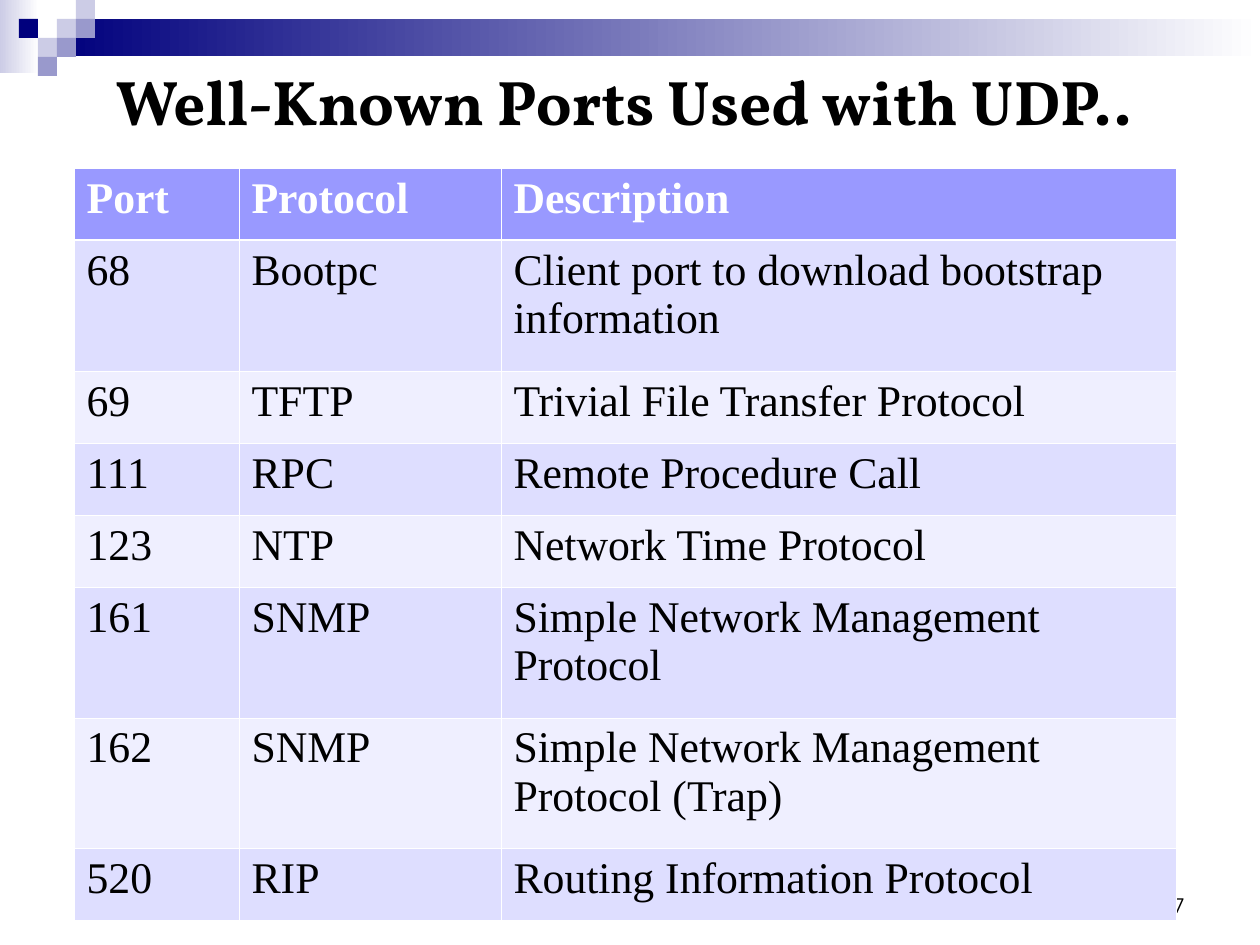
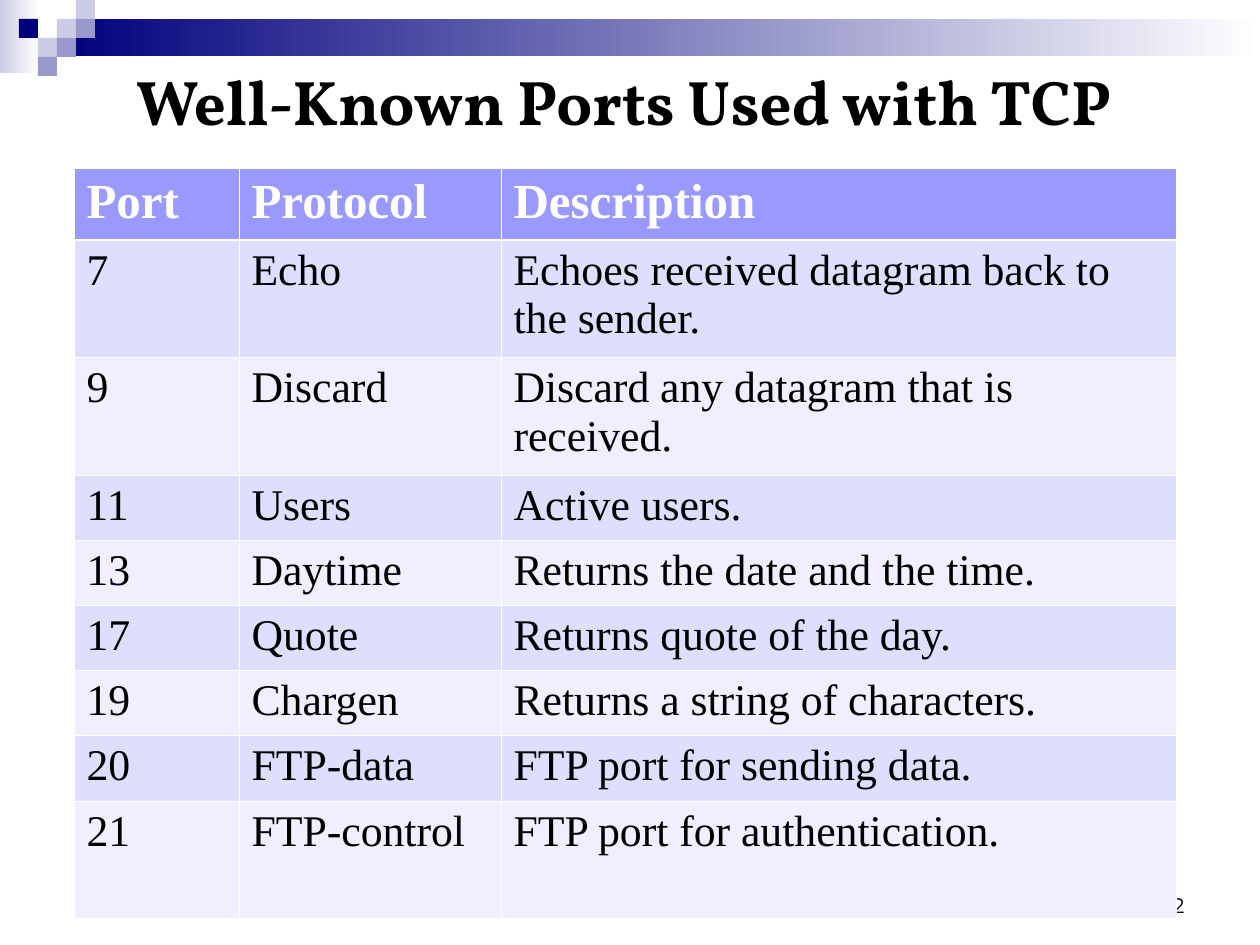
from typing import NamedTuple

from pptx import Presentation
from pptx.dml.color import RGBColor
from pptx.enum.shapes import MSO_SHAPE
from pptx.enum.text import MSO_ANCHOR, PP_ALIGN
from pptx.oxml import parse_xml
from pptx.oxml.ns import nsdecls
from pptx.util import Emu, Pt

RECT = MSO_SHAPE.RECTANGLE
MIDDLE, BOTTOM = MSO_ANCHOR.MIDDLE, MSO_ANCHOR.BOTTOM
CENTER, RIGHT = PP_ALIGN.CENTER, PP_ALIGN.RIGHT

BLACK = RGBColor(0x00, 0x00, 0x00)
WHITE = RGBColor(0xFF, 0xFF, 0xFF)
NAVY = RGBColor(0x00, 0x00, 0x7D)
LILAC = RGBColor(0xCC, 0xCC, 0xE6)
PERIWINKLE = RGBColor(0x99, 0x99, 0xCC)
HEADER_FILL = RGBColor(0x99, 0x99, 0xFF)
ROW_FILLS = (RGBColor(0xDE, 0xDE, 0xFF), RGBColor(0xEF, 0xEF, 0xFF))

TITLE_FONT, NUMBER_FONT, TABLE_FONT = "Vollkorn", "Montserrat", "Times New Roman"
PX_PER_INCH = 126
TITLE_ONLY = 5
SQUARE = 19
THIN, THICK = 0.45, 1.47
TABLE_LEFT, TABLE_TOP = 74, 168
COL_WIDTHS = (165, 262, 675)
HEADER_HEIGHT = 72
HEADINGS = ("Port", "Protocol", "Description")


class Box(NamedTuple):
    x: int
    y: int
    w: int
    h: int


class Band(NamedTuple):
    box: Box
    start: RGBColor


class Square(NamedTuple):
    col: int
    row: int
    color: RGBColor


class PortRow(NamedTuple):
    port: str
    protocol: str
    description: str
    height: int


class PortSlide(NamedTuple):
    title: str
    number: str
    header_size: int
    rows: list[PortRow]


TITLE_BOX = Box(42, 32, 1176, 136)
NUMBER_BOX = Box(903, 861, 294, 63)
BANDS = (
    Band(Box(0, 0, 39, 73), LILAC),
    Band(Box(57, 19, 1203, 37), NAVY),
)
SQUARES = (
    Square(3, 1, LILAC),
    Square(4, 0, LILAC),
    Square(4, 1, PERIWINKLE),
    Square(2, 2, LILAC),
    Square(1, 1, NAVY),
    Square(3, 2, PERIWINKLE),
    Square(2, 3, PERIWINKLE),
)

SLIDES = (
    PortSlide("Well-Known Ports Used with UDP.. ", "17", 25, [
        PortRow("68", "Bootpc", "Client port to download bootstrap information", 131),
        PortRow("69", "TFTP", "Trivial File Transfer Protocol", 72),
        PortRow("111", "RPC", "Remote Procedure Call", 72),
        PortRow("123", "NTP", "Network Time Protocol", 72),
        PortRow("161", "SNMP", "Simple Network Management Protocol", 131),
        PortRow("162", "SNMP", "Simple Network Management Protocol (Trap)", 131),
        PortRow("520", "RIP", "Routing Information Protocol", 72),
    ]),
    PortSlide("Well-Known Ports Used with TCP ", "42", 28, [
        PortRow("7", "Echo", "Echoes received datagram back to the sender.", 117),
        PortRow("9", "Discard", "Discard any datagram that is received.", 117),
        PortRow("11", "Users", "Active users.", 65),
        PortRow("13", "Daytime", "Returns the date and the time.", 65),
        PortRow("17", "Quote", "Returns quote of the day.", 65),
        PortRow("19", "Chargen", "Returns a string of characters.", 65),
        PortRow("20", "FTP-data", "FTP port for sending data.", 65),
        PortRow("21", "FTP-control", "FTP port for authentication.", 117),
    ]),
)


def px(n: int) -> Emu:
    return Emu(round(n * 914400 / PX_PER_INCH))


def emu(box: Box) -> list[Emu]:
    return [px(n) for n in box]


def add_run(p, text: str, font: str, size: int, color: RGBColor, bold: bool = False) -> None:
    r = p.add_run()
    r.text = text
    r.font.name = font
    r.font.size = Pt(size)
    r.font.bold = bold
    r.font.color.rgb = color


def add_rect(slide, box: Box):
    sp = slide.shapes.add_shape(RECT, *emu(box))
    sp.shadow.inherit = False
    sp.line.fill.background()
    return sp


def add_banner(slide) -> None:
    for band in BANDS:
        fill = add_rect(slide, band.box).fill
        fill.gradient()
        fill.gradient_angle = 0
        for stop, color in zip(fill.gradient_stops, (band.start, WHITE)):
            stop.color.rgb = color
    for sq in SQUARES:
        sp = add_rect(slide, Box(sq.col * SQUARE, sq.row * SQUARE, SQUARE, SQUARE))
        sp.fill.solid()
        sp.fill.fore_color.rgb = sq.color


def set_title(slide, text: str) -> None:
    sp = slide.shapes.title
    sp.left, sp.top, sp.width, sp.height = emu(TITLE_BOX)
    tf = sp.text_frame
    tf.vertical_anchor = MIDDLE
    p = tf.paragraphs[0]
    p.alignment = CENTER
    add_run(p, text, TITLE_FONT, 36, BLACK, True)


def add_number(slide, text: str) -> None:
    tf = slide.shapes.add_textbox(*emu(NUMBER_BOX)).text_frame
    tf.word_wrap = True
    tf.vertical_anchor = BOTTOM
    p = tf.paragraphs[0]
    p.alignment = RIGHT
    add_run(p, text, NUMBER_FONT, 12, BLACK)


def set_borders(cell, top: float, bottom: float) -> None:
    tc_pr = cell._tc.get_or_add_tcPr()
    for side, width in (("L", THIN), ("R", THIN), ("T", top), ("B", bottom)):
        tc_pr.append(parse_xml(
            f'<a:ln{side} {nsdecls("a")} w="{Pt(width)}"><a:solidFill>'
            f'<a:srgbClr val="{WHITE}"/></a:solidFill></a:ln{side}>'
        ))


def add_port_table(slide, spec_rows: list[PortRow], header_size: int) -> None:
    rows = [PortRow(*HEADINGS, HEADER_HEIGHT), *spec_rows]
    box = Box(TABLE_LEFT, TABLE_TOP, sum(COL_WIDTHS), sum(row.height for row in rows))
    table = slide.shapes.add_table(len(rows), len(COL_WIDTHS), *emu(box)).table
    for column, width in zip(table.columns, COL_WIDTHS):
        column.width = px(width)
    for i, row in enumerate(rows):
        header = i == 0
        table.rows[i].height = px(row.height)
        for j, text in enumerate((row.port, row.protocol, row.description)):
            cell = table.cell(i, j)
            set_borders(cell, THICK if i == 1 else THIN, THICK if header else THIN)
            cell.fill.solid()
            cell.fill.fore_color.rgb = HEADER_FILL if header else ROW_FILLS[(i - 1) % 2]
            add_run(cell.text_frame.paragraphs[0], text, TABLE_FONT,
                    header_size if header else 25, WHITE if header else BLACK, header)


def main() -> None:
    prs = Presentation()
    prs.slide_width, prs.slide_height = px(1260), px(945)
    for content in SLIDES:
        slide = prs.slides.add_slide(prs.slide_layouts[TITLE_ONLY])
        add_banner(slide)
        set_title(slide, content.title)
        add_number(slide, content.number)
        add_port_table(slide, content.rows, content.header_size)
    prs.save("out.pptx")


if __name__ == "__main__":
    main()
